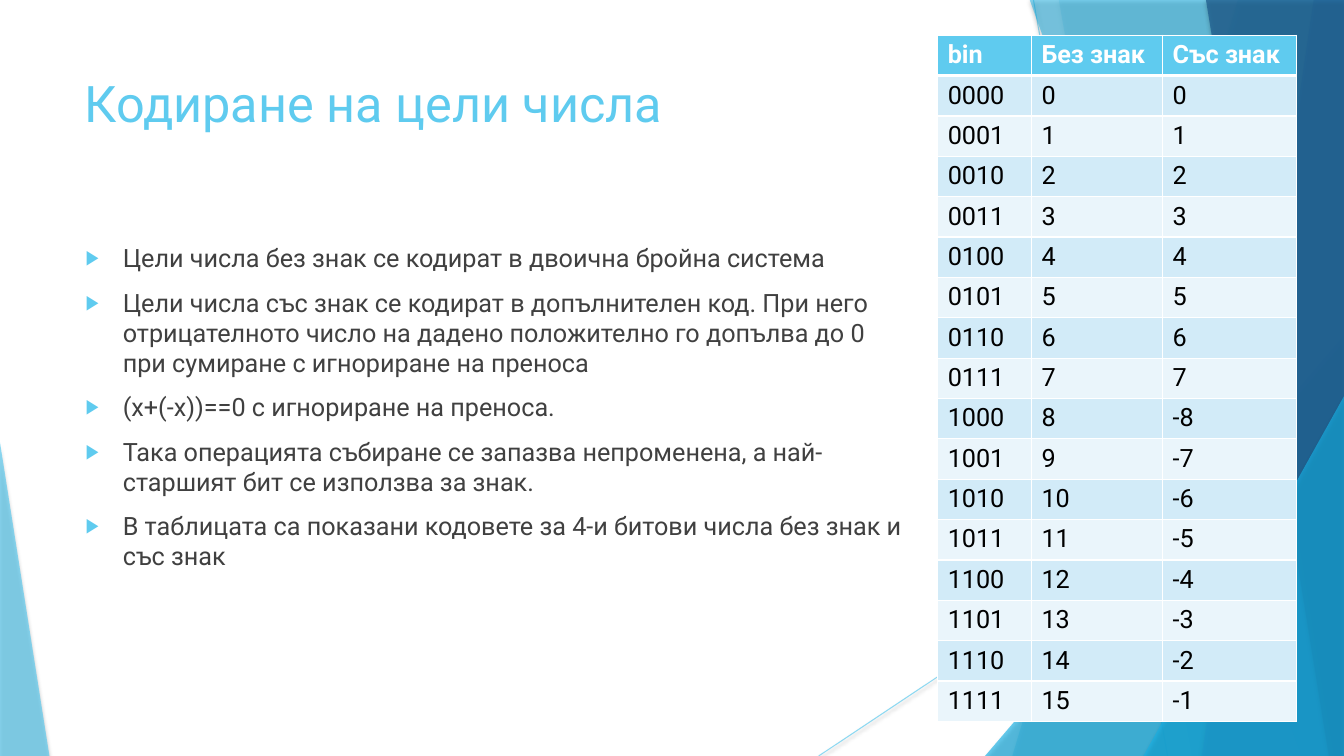
from lxml.etree import SubElement
from pptx import Presentation
from pptx.dml.color import RGBColor
from pptx.enum.shapes import MSO_CONNECTOR, MSO_SHAPE
from pptx.enum.text import MSO_ANCHOR
from pptx.oxml import parse_xml
from pptx.oxml.ns import nsdecls, qn
from pptx.util import Inches, Pt

FONT = "Roboto"
SKY = RGBColor(0x5F, 0xCB, 0xEF)
CYAN = RGBColor(0x17, 0xB0, 0xE4)
BLUE = RGBColor(0x2E, 0x83, 0xC3)
NAVY = RGBColor(0x22, 0x62, 0x92)
GREY = RGBColor(0x40, 0x40, 0x40)
BLACK = RGBColor(0x00, 0x00, 0x00)
WHITE = RGBColor(0xFF, 0xFF, 0xFF)
BAND_DARK = RGBColor(0xD2, 0xEB, 0xF8)
BAND_LIGHT = RGBColor(0xEA, 0xF5, 0xFB)

TOP, RIGHT, BOTTOM = -0.01, 13.33, 7.5
TITLE = "Кодиране на цели числа"
BULLETS = [
    "Цели числа без знак се кодират в двоична бройна система",
    "Цели числа със знак се кодират в допълнителен код. При него отрицателното "
    "число на дадено положително го допълва до 0 при сумиране с игнориране на преноса",
    "(x+(-x))==0 с игнориране на преноса.",
    "Така операцията събиране се запазва непроменена, а най-старшият бит се "
    "използва за знак.",
    "В таблицата са показани кодовете за 4-и битови числа без знак и със знак",
]
HEADERS = ["bin", "Без знак", "Със знак"]
COLUMN_WIDTHS = [0.93, 1.3, 1.33]
ROW_HEIGHT = 0.39
BITS = 4


def set_opacity(element, percent):
    color = element.find(".//" + qn("a:srgbClr"))
    SubElement(color, qn("a:alpha"), val=str(percent * 1000))


def add_shadow(shape, opacity, blur, distance):
    shape._element.spPr.append(parse_xml(
        f'<a:effectLst {nsdecls("a")}><a:outerShdw blurRad="{Pt(blur)}" '
        f'dist="{Pt(distance)}" dir="5400000" algn="ctr" rotWithShape="0">'
        f'<a:srgbClr val="000000"><a:alpha val="{opacity * 1000}"/></a:srgbClr>'
        '</a:outerShdw></a:effectLst>'))


def add_ray(slide, *ends):
    connector = slide.shapes.add_connector(MSO_CONNECTOR.STRAIGHT, *map(Inches, ends))
    connector.line.color.rgb = SKY
    connector.line.width = Pt(0.75)
    set_opacity(connector._element.spPr, 70)
    add_shadow(connector, 38, 3.1, 1.6)


def style_facet(shape, color, opacity):
    shape.fill.solid()
    shape.fill.fore_color.rgb = color
    set_opacity(shape._element.spPr, opacity)
    shape.line.fill.background()
    add_shadow(shape, 35, 3, 2)


def add_facet(slide, top_x, bottom_x, color, opacity):
    builder = slide.shapes.build_freeform(Inches(top_x), Inches(TOP))
    corners = [(RIGHT, TOP), (RIGHT, BOTTOM), (bottom_x, BOTTOM)]
    builder.add_line_segments([(Inches(x), Inches(y)) for x, y in corners], close=True)
    style_facet(builder.convert_to_shape(), color, opacity)


def add_triangle(slide, left, top, width, apex, color, opacity):
    shape = slide.shapes.add_shape(
        MSO_SHAPE.ISOSCELES_TRIANGLE, Inches(left), Inches(top),
        Inches(width), Inches(BOTTOM - top))
    shape.adjustments[0] = apex
    style_facet(shape, color, opacity)


def add_background(slide):
    add_ray(slide, 10.25, 0, 11.58, BOTTOM)
    add_ray(slide, RIGHT, 4.03, 8.12, BOTTOM)
    add_facet(slide, 12.28, 10.04, SKY, 36)
    add_facet(slide, 10.5, 11.82, SKY, 20)
    add_triangle(slide, 9.77, 3.33, 3.56, 1, CYAN, 66)
    add_facet(slide, 10.21, 12.91, CYAN, 50)
    add_facet(slide, 13.03, 11.92, BLUE, 70)
    add_facet(slide, 11.96, 13.18, NAVY, 80)
    add_triangle(slide, 11.34, 3.93, 1.99, 1, CYAN, 66)
    add_triangle(slide, 0, 4.39, 0.49, 0, SKY, 70)


def format_runs(paragraph, size, color, bold=False):
    for run in paragraph.runs:
        run.font.name = FONT
        run.font.size = Pt(size)
        run.font.bold = bold
        run.font.color.rgb = color


def add_text(slide, left, top, width, height, lines, size, color):
    box = slide.shapes.add_textbox(*map(Inches, (left, top, width, height)))
    frame = box.text_frame
    frame.word_wrap = True
    frame.vertical_anchor = MSO_ANCHOR.TOP
    frame.text = "\n".join(lines)
    for paragraph in frame.paragraphs:
        format_runs(paragraph, size, color)
    return frame


def add_bullet(paragraph):
    paragraph.space_before = Pt(10)
    properties = paragraph._p.get_or_add_pPr()
    properties.set("marL", str(Inches(0.38)))
    properties.set("indent", str(Inches(-0.37)))
    color = SubElement(properties, qn("a:buClr"))
    SubElement(color, qn("a:srgbClr"), val=str(SKY))
    SubElement(properties, qn("a:buSzPct"), val="80000")
    SubElement(properties, qn("a:buFont"), typeface="Arial")
    SubElement(properties, qn("a:buChar"), char="▶")


def add_borders(cell, top, bottom):
    properties = cell._tc.get_or_add_tcPr()
    widths = {"lnL": 0.96, "lnR": 0.96, "lnT": top, "lnB": bottom}
    for side, width in widths.items():
        line = SubElement(properties, qn("a:" + side), w=str(Pt(width)))
        fill = SubElement(line, qn("a:solidFill"))
        SubElement(fill, qn("a:srgbClr"), val=str(WHITE))


def fill_cell(cell, text, fill, color, bold, top, bottom):
    cell.text = text
    format_runs(cell.text_frame.paragraphs[0], 18, color, bold)
    add_borders(cell, top, bottom)
    cell.fill.solid()
    cell.fill.fore_color.rgb = fill


def add_code_table(slide):
    count = 2 ** BITS
    rows = [HEADERS]
    for number in range(count):
        signed = number if number < count // 2 else number - count
        rows.append([f"{number:0{BITS}b}", str(number), str(signed)])
    table = slide.shapes.add_table(
        len(rows), len(HEADERS), Inches(9.3), Inches(0.35),
        Inches(sum(COLUMN_WIDTHS)), Inches(ROW_HEIGHT * len(rows))).table
    for column, width in zip(table.columns, COLUMN_WIDTHS):
        column.width = Inches(width)
    for index, values in enumerate(rows):
        table.rows[index].height = Inches(ROW_HEIGHT)
        header = index == 0
        band = BAND_DARK if index % 2 else BAND_LIGHT
        for cell, text in zip(table.rows[index].cells, values):
            fill_cell(cell, text, SKY if header else band,
                      WHITE if header else BLACK, header,
                      3 if index == 1 else 0.96, 3 if header else 0.96)


def main():
    presentation = Presentation()
    presentation.slide_width = Inches(13.33)
    presentation.slide_height = Inches(7.5)
    slide = presentation.slides.add_slide(presentation.slide_layouts[6])
    add_background(slide)
    add_text(slide, 0.74, 0.67, 9.4, 1.44, [TITLE], 36, SKY)
    body = add_text(slide, 0.74, 2.36, 8.43, 4.24, BULLETS, 18, GREY)
    for paragraph in body.paragraphs:
        add_bullet(paragraph)
    add_code_table(slide)
    presentation.save("out.pptx")


if __name__ == "__main__":
    main()
